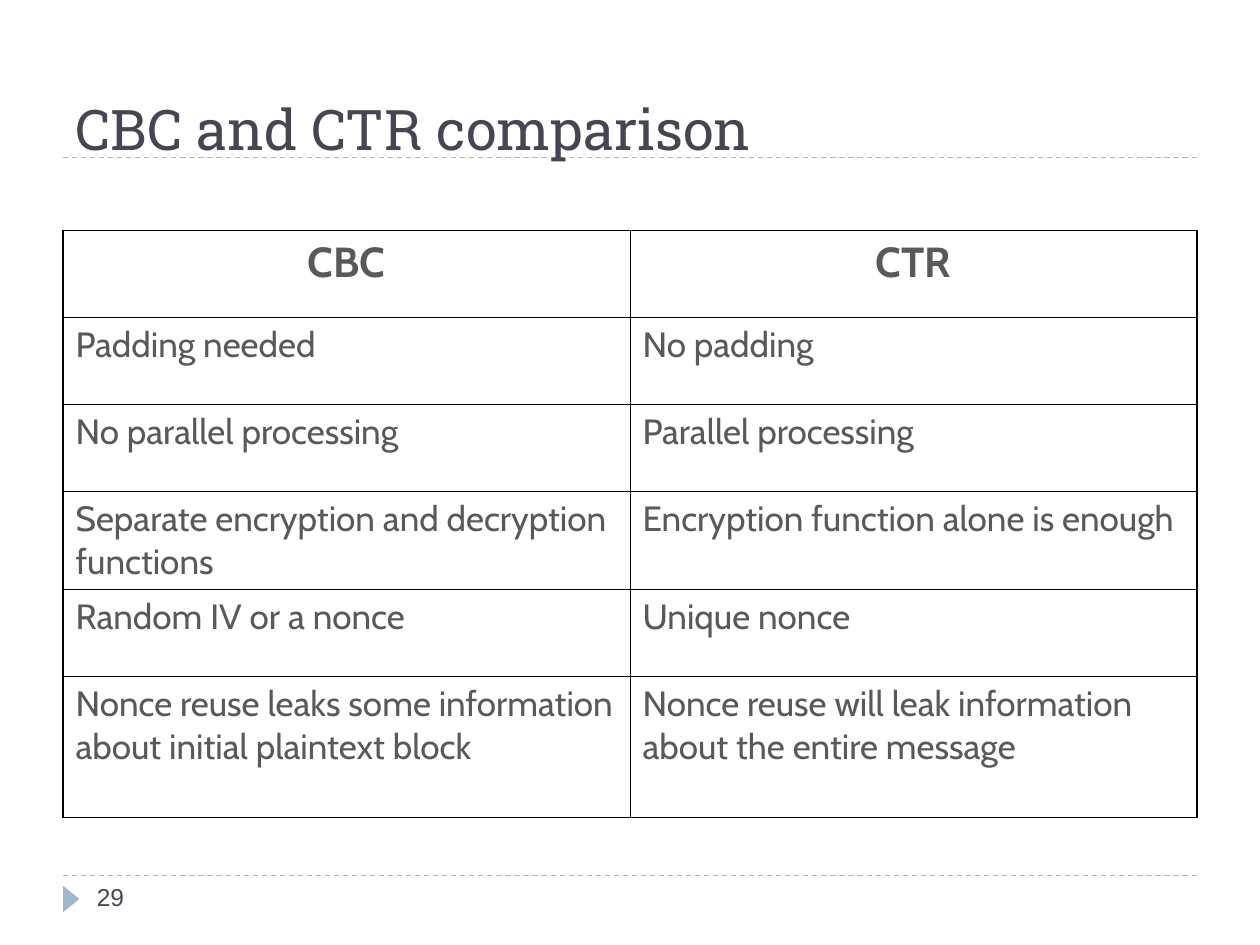
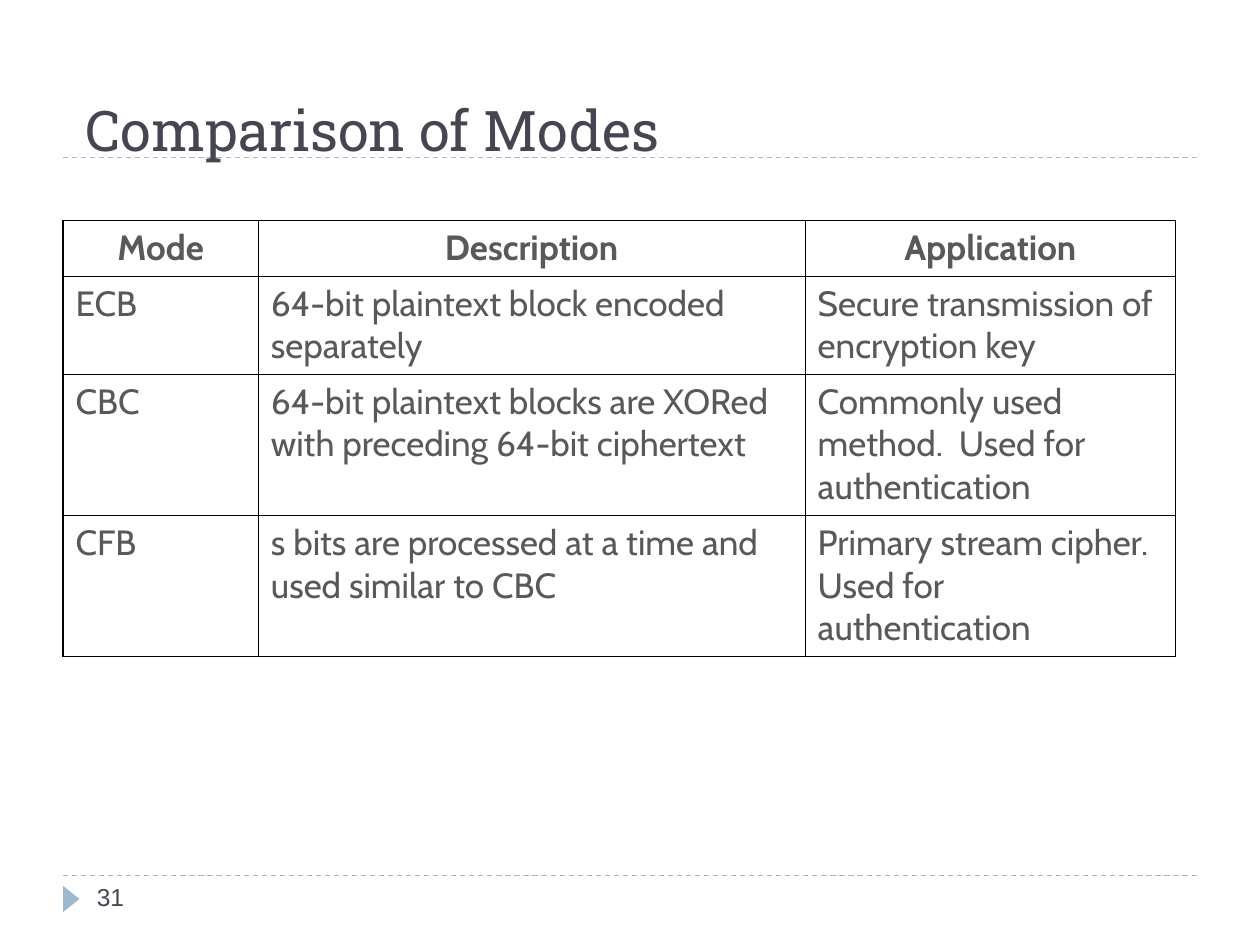
"""Build two slides that compare block cipher modes."""
from dataclasses import dataclass

from lxml import etree
from pptx import Presentation
from pptx import util as u
from pptx.dml.color import RGBColor
from pptx.enum import dml, shapes, text
from pptx.oxml.ns import qn

INK = RGBColor(0x46, 0x46, 0x53)
BODY = RGBColor(0x59, 0x59, 0x59)
ACCENT = RGBColor(0x9F, 0xB8, 0xCD)
BORDER = RGBColor(0x00, 0x00, 0x00)
TITLE_FONT, BODY_FONT, NUMBER_FONT = "Roboto Slab", "Cabin", "Arial"
LEFT, RIGHT = 0.5, 9.5
RULE_HEIGHTS = (6.95, 1.25)
OUTER, INNER = u.Pt(1.08), u.Pt(0.45)
BODY_SIZE = 20


@dataclass(frozen=True)
class Comparison:
    """Content and measures of one slide; lengths are in inches."""
    title: str
    title_box: tuple[float, float, float, float]
    number: str
    top: float
    widths: tuple[float, ...]
    heights: tuple[float, ...]
    header_size: int
    rows: tuple[tuple[str, ...], ...]


COMPARISONS = (
    Comparison(
        "CBC and CTR comparison", (0.5, 0.3, 9, 1.03), "29", 1.83,
        (4.5, 4.5), (0.69, 0.69, 0.69, 0.78, 0.69, 1.12), 24,
        (
            ("CBC", "CTR"),
            ("Padding needed", "No padding"),
            ("No parallel processing", "Parallel processing"),
            ("Separate encryption and decryption functions",
             "Encryption function alone is enough"),
            ("Random IV or a nonce", "Unique nonce"),
            ("Nonce reuse leaks some information about initial plaintext block",
             "Nonce reuse will leak information about the entire message"),
        ),
    ),
    Comparison(
        "Comparison of Modes", (0.58, 0.42, 9, 0.92), "31", 1.75,
        (1.55, 4.34, 2.94), (0.44, 0.78, 1.12, 1.12), 20,
        (
            ("Mode", "Description", "Application"),
            ("ECB", "64-bit plaintext block encoded separately",
             "Secure transmission of encryption key"),
            ("CBC", "64-bit plaintext blocks are XORed with preceding 64-bit ciphertext",
             "Commonly used method.  Used for authentication"),
            ("CFB", "s bits are processed at a time and used similar to CBC",
             "Primary stream cipher. Used for authentication"),
        ),
    ),
)


def write(frame, words: str, font: str, size: float, color: RGBColor,
          bold: bool = False, align=text.PP_ALIGN.LEFT) -> None:
    """Write one run into the first paragraph of a text frame."""
    frame.word_wrap = True
    para = frame.paragraphs[0]
    para.alignment = align
    span = para.add_run()
    span.text = words
    span.font.name = font
    span.font.size = u.Pt(size)
    span.font.bold = bold
    span.font.color.rgb = color


def add_rule(page, height: float) -> None:
    """Draw a dashed line across the page."""
    rule = page.shapes.add_connector(
        shapes.MSO_CONNECTOR.STRAIGHT, u.Inches(LEFT), u.Inches(height),
        u.Inches(RIGHT), u.Inches(height))
    rule.line.color.rgb = ACCENT
    rule.line.width = u.Pt(0.75)
    rule.line.dash_style = dml.MSO_LINE.DASH
    etree.SubElement(rule.element.spPr, qn("a:effectLst"))


def add_frame(page, number: str) -> None:
    """Draw the rules, the footer marker and the page number."""
    for height in RULE_HEIGHTS:
        add_rule(page, height)
    marker = page.shapes.add_shape(
        shapes.MSO_SHAPE.ISOSCELES_TRIANGLE, u.Inches(0.46), u.Inches(7.07),
        u.Inches(0.21), u.Inches(0.13))
    marker.rotation = 90
    marker.shadow.inherit = False
    marker.fill.solid()
    marker.fill.fore_color.rgb = ACCENT
    marker.line.fill.background()
    box = page.shapes.add_textbox(
        u.Inches(0.67), u.Inches(6.95), u.Inches(2.17), u.Inches(0.4))
    write(box.text_frame, number, NUMBER_FONT, 14, INK)


def add_title(page, words: str, place: tuple[float, float, float, float]) -> None:
    """Place the title and bring it in front of the rules."""
    title = page.shapes.title
    title.left, title.top, title.width, title.height = map(u.Inches, place)
    frame = title.text_frame
    frame.auto_size = text.MSO_AUTO_SIZE.NONE
    frame.vertical_anchor = text.MSO_ANCHOR.BOTTOM
    write(frame, words, TITLE_FONT, 32, INK)
    title.element.getparent().append(title.element)


def set_borders(cell, left: int, right: int, top: int, bottom: int) -> None:
    """Give a cell its four border widths."""
    properties = cell._tc.get_or_add_tcPr()
    for side, width in zip("LRTB", (left, right, top, bottom)):
        line = etree.SubElement(properties, qn(f"a:ln{side}"), w=str(width))
        fill = etree.SubElement(line, qn("a:solidFill"))
        etree.SubElement(fill, qn("a:srgbClr"), val=str(BORDER))


def add_comparison_table(page, item: Comparison) -> None:
    """Draw the table with a heavy outline and thin inner lines."""
    last_row, last_column = len(item.heights) - 1, len(item.widths) - 1
    table = page.shapes.add_table(
        last_row + 1, last_column + 1, u.Inches(LEFT), u.Inches(item.top),
        u.Inches(sum(item.widths)), u.Inches(sum(item.heights))).table
    table.first_row = table.horz_banding = False
    for column, width in zip(table.columns, item.widths):
        column.width = u.Inches(width)
    for r, (row, height) in enumerate(zip(table.rows, item.heights)):
        row.height = u.Inches(height)
        header = r == 0
        for c, cell in enumerate(row.cells):
            set_borders(
                cell,
                left=OUTER if c == 0 else INNER,
                right=OUTER if c == last_column else INNER,
                top=OUTER if header else INNER,
                bottom=OUTER if r == last_row else INNER)
            cell.fill.background()
            write(cell.text_frame, item.rows[r][c], BODY_FONT,
                  item.header_size if header else BODY_SIZE, BODY, header,
                  text.PP_ALIGN.CENTER if header else text.PP_ALIGN.LEFT)


def main() -> None:
    """Build the deck and save it."""
    deck = Presentation()
    deck.slide_width, deck.slide_height = u.Inches(10), u.Inches(7.5)
    title_only = deck.slide_layouts[5]
    for item in COMPARISONS:
        page = deck.slides.add_slide(title_only)
        add_frame(page, item.number)
        add_title(page, item.title, item.title_box)
        add_comparison_table(page, item)
    deck.save("out.pptx")


if __name__ == "__main__":
    main()
